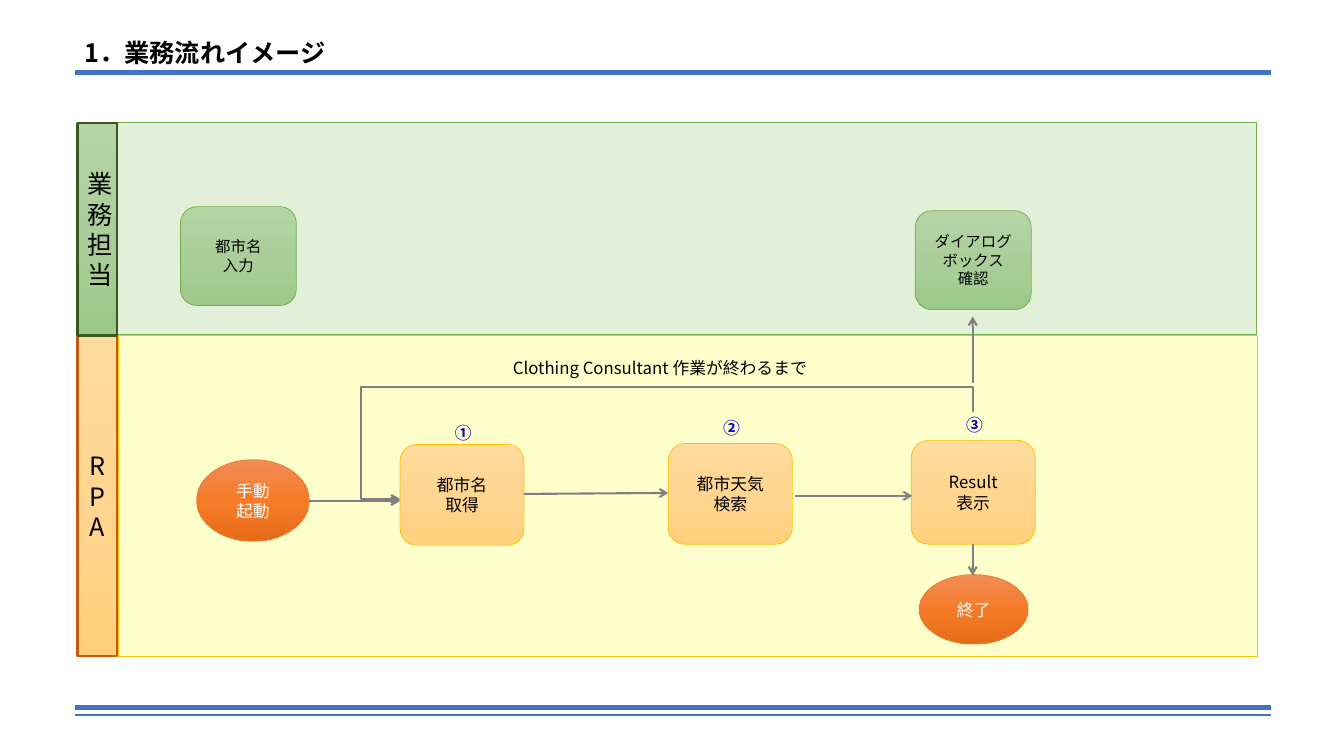
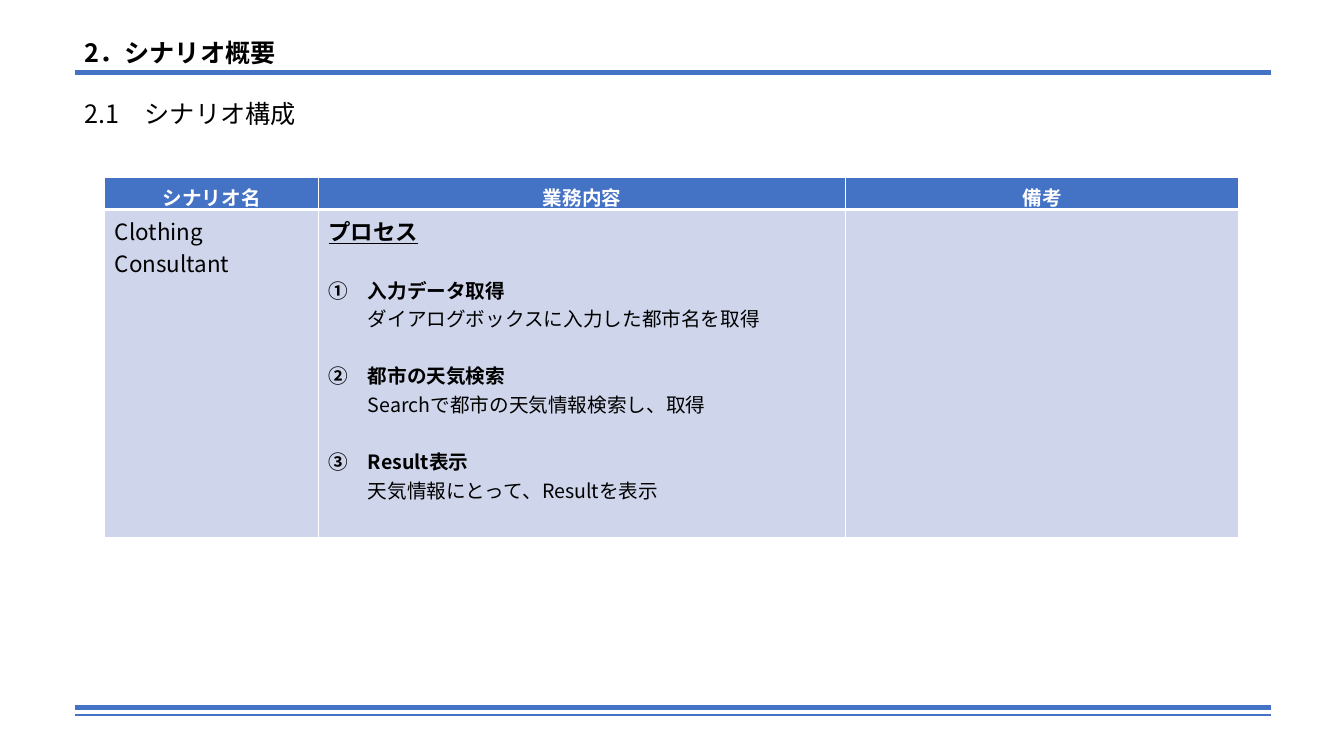
from copy import deepcopy
from lxml.etree import SubElement as Sub
from pptx import Presentation
from pptx.dml.color import RGBColor
from pptx.enum.shapes import MSO_CONNECTOR as Conn, MSO_SHAPE as Form
from pptx.enum.text import MSO_ANCHOR as Anchor, MSO_AUTO_SIZE as Auto, PP_ALIGN as Align
from pptx.oxml.ns import qn
from pptx.util import Pt

FONT = "Noto Sans CJK JP"
BLUE, GRAY, NAVY = "4472C4", "808080", "0000CC"
BLACK, WHITE, PALE = "000000", "FFFFFF", "CFD5EA"
LIME, CREAM, GREEN, GOLD = "E2F0D9", "FFFFCC", "70AD47", "FFC000"
MOSS, RUST, FLAME = "385723", "C55A11", "ED7D31"
LEAF = ("B5D5A7", "AACE9A", "9CC987")
PEACH = ("FFDB9E", "FFD590", "FFD07C")
FIRE = ("F18C57", "F67B28", "E56C19")


def rgb(code):
    return RGBColor.from_string(code)


class Deck:
    """Holds the style and the current slide; all lengths are points."""

    left, right = 53.3, 907.9
    rules = ((505.4, 3), (510.5, 1.5), (51.8, 3))

    def __init__(self):
        self.file = Presentation()
        self.file.slide_width, self.file.slide_height = Pt(960), Pt(540)

    def page(self, title):
        layout = self.file.slide_layouts[6]
        self.items = self.file.slides.add_slide(layout).shapes
        for y, width in self.rules:
            self.line((self.left, y), (self.right, y), BLUE, width)
        self.text(self.left, 23, 324, 29, title, 18, bold=True)

    # Text
    def run(self, para, text, size, color=BLACK, bold=False, under=False):
        run = para.add_run()
        run.text = text
        font = run.font
        font.name, font.size, font.bold = FONT, Pt(size), bold
        font.underline = under
        font.color.rgb = rgb(color)
        Sub(run._r.get_or_add_rPr(), qn("a:ea"), typeface=FONT)

    def fill(self, frame, text, size, color=BLACK, align=Align.LEFT, bold=False):
        frame.word_wrap = True
        for i, row in enumerate(text.split("\n")):
            para = frame.add_paragraph() if i else frame.paragraphs[0]
            para.alignment = align
            self.run(para, row, size, color, bold)

    def text(self, x, y, w, h, text, size, color=BLACK, align=Align.LEFT, bold=False):
        frame = self.items.add_textbox(Pt(x), Pt(y), Pt(w), Pt(h)).text_frame
        self.fill(frame, text, size, color, align, bold)
        frame.auto_size = Auto.SHAPE_TO_FIT_TEXT

    # Shapes
    def shape(self, form, x, y, w, h, paint, edge, width=0.5,
              text="", size=12, color=BLACK):
        item = self.items.add_shape(form, Pt(x), Pt(y), Pt(w), Pt(h))
        item.shadow.inherit = False
        item.line.color.rgb, item.line.width = rgb(edge), Pt(width)
        if isinstance(paint, str):
            item.fill.solid()
            item.fill.fore_color.rgb = rgb(paint)
        else:
            self.blend(item, paint)
        if text:
            item.text_frame.vertical_anchor = Anchor.MIDDLE
            self.fill(item.text_frame, text, size, color, Align.CENTER)

    def blend(self, item, tones):
        item.fill.gradient()
        item.fill.gradient_angle = 270
        stops = item._element.spPr.find(qn("a:gradFill")).find(qn("a:gsLst"))
        stops.insert(1, deepcopy(stops[0]))
        for i, stop in enumerate(item.fill.gradient_stops):
            stop.color.rgb, stop.position = rgb(tones[i]), i / 2

    # Lines and arrows
    def line(self, start, end, color=GRAY, width=1.5, head=False):
        ends = [Pt(v) for v in (*start, *end)]
        item = self.items.add_connector(Conn.STRAIGHT, *ends)
        Sub(item._element.spPr, qn("a:effectLst"))
        self.stroke(item, color, width, head)

    def stroke(self, item, color, width, head):
        item.line.color.rgb, item.line.width = rgb(color), Pt(width)
        if head:
            Sub(item._element.spPr.find(qn("a:ln")), qn("a:tailEnd"), type="arrow")

    def arrow(self, start, end):
        self.line(start, end, head=True)

    def bend(self, *spots):
        spots = [(Pt(x), Pt(y)) for x, y in spots]
        pen = self.items.build_freeform(*spots[0])
        pen.add_line_segments(spots[1:], close=False)
        item = pen.convert_to_shape()
        item.shadow.inherit = False
        item.fill.background()
        self.stroke(item, GRAY, 1.5, True)

    # Tables
    def table(self, x, y, cols, rows):
        item = self.items.add_table(len(rows), len(cols), Pt(x), Pt(y),
                                    Pt(sum(cols)), Pt(sum(rows)))
        grid = item.table
        grid.horz_banding = False
        for i, width in enumerate(cols):
            grid.columns[i].width = Pt(width)
        for i, height in enumerate(rows):
            grid.rows[i].height = Pt(height)
        return grid

    def cell(self, cell, color, top=1, base=1):
        props = cell._tc.get_or_add_tcPr()
        for side, width in zip("LRTB", (1, 1, top, base)):
            edge = Sub(props, qn("a:ln" + side), w=str(Pt(width)))
            Sub(Sub(edge, qn("a:solidFill")), qn("a:srgbClr"), val=WHITE)
        cell.fill.solid()
        cell.fill.fore_color.rgb = rgb(color)


def flow(deck):
    deck.page("1．業務流れイメージ")

    # Lanes and their labels
    x, mid, wide = 55.4, 239.8, 28.1
    deck.shape(Form.RECTANGLE, 84.2, mid, 814.3, 229, CREAM, GOLD)
    deck.shape(Form.RECTANGLE, x, 87.1, 842.4, 151.9, LIME, GREEN)
    deck.shape(Form.RECTANGLE, x, mid, wide, 229, PEACH, RUST, 1.5, "RPA", 18)
    deck.shape(Form.RECTANGLE, x, 87.8, wide, 151.9, LEAF, MOSS, 1.5, "業務担当", 18)

    # Start and end
    deck.shape(Form.OVAL, 140.4, 328.3, 80.6, 58.3, FIRE, FLAME,
               text="手動\n起動", color=WHITE)
    deck.shape(Form.OVAL, 656.6, 410.4, 77.8, 49.7, FIRE, FLAME,
               text="終了", color=WHITE)

    # Manual tasks
    for x, y, text in ((128.9, 147.6, "都市名\n入力"),
                       (653.8, 150.5, "ダイアログボックス\n確認")):
        deck.shape(Form.ROUNDED_RECTANGLE, x, y, 82.8, 70.6, LEAF, GREEN,
                   text=text, size=11)

    # Numbered robot steps
    wide = 88.6
    steps = (("①", 285.8, 317.5, 72, 298.1, "都市名\n取得"),
             ("②", 477.4, 316.8, 72, 295.2, "都市天気\n検索"),
             ("③", 650.9, 314.6, 74.2, 292.6, "Result\n表示"))
    for mark, x, y, high, top, text in steps:
        deck.text(x + wide / 2 - 12.2, top, 24.5, 21.6, mark, 12, NAVY,
                  Align.CENTER, True)
        deck.shape(Form.ROUNDED_RECTANGLE, x, y, wide, high, PEACH, GOLD, text=text)

    # Arrows and the loop
    axis = 694.8
    deck.arrow((221, 357.8), (285.8, 357.8))
    deck.arrow((374.4, 352.8), (477.4, 352.1))
    deck.arrow((568.1, 354.2), (651.6, 354.2))
    deck.arrow((axis, 388.8), (axis, 411.1))
    deck.arrow((axis, 273.6), (axis, 226.1))
    deck.bend((axis, 294.5), (axis, 276.5), (257.8, 276.5),
              (257.8, 356.4), (285.8, 356.4))
    deck.text(359.3, 252, 241.9, 21.6, "Clothing Consultant 作業が終わるまで", 12)


def outline(deck):
    deck.page("2．シナリオ概要")
    deck.text(deck.left, 67, 627, 29, "2.1　シナリオ構成", 18)
    grid = deck.table(74.9, 126.7, (152.6, 376.6, 280.8), (23, 234))

    # Header and body cells
    for i, name in enumerate(("シナリオ名", "業務内容", "備考")):
        head = grid.cell(0, i)
        deck.cell(head, BLUE, base=3)
        head.margin_bottom = 0
        deck.fill(head.text_frame, name, 14, WHITE, Align.CENTER, True)
        deck.cell(grid.cell(1, i), PALE, top=3)
    deck.fill(grid.cell(1, 0).text_frame, "Clothing Consultant", 16)

    # Process steps
    frame = grid.cell(1, 1).text_frame
    deck.run(frame.paragraphs[0], "プロセス", 16, bold=True, under=True)
    for name, note in (
            ("①　入力データ取得", "ダイアログボックスに入力した都市名を取得"),
            ("②　都市の天気検索", "Searchで都市の天気情報検索し、取得"),
            ("③　Result表示", "天気情報にとって、Resultを表示")):
        para = frame.add_paragraph()
        para.space_before = Pt(20.4)
        deck.run(para, name, 14, bold=True)
        para = frame.add_paragraph()
        para._p.get_or_add_pPr().set("marL", str(Pt(28)))
        deck.run(para, note, 14)


def main():
    deck = Deck()
    flow(deck)
    outline(deck)
    deck.file.save("out.pptx")


if __name__ == "__main__":
    main()
